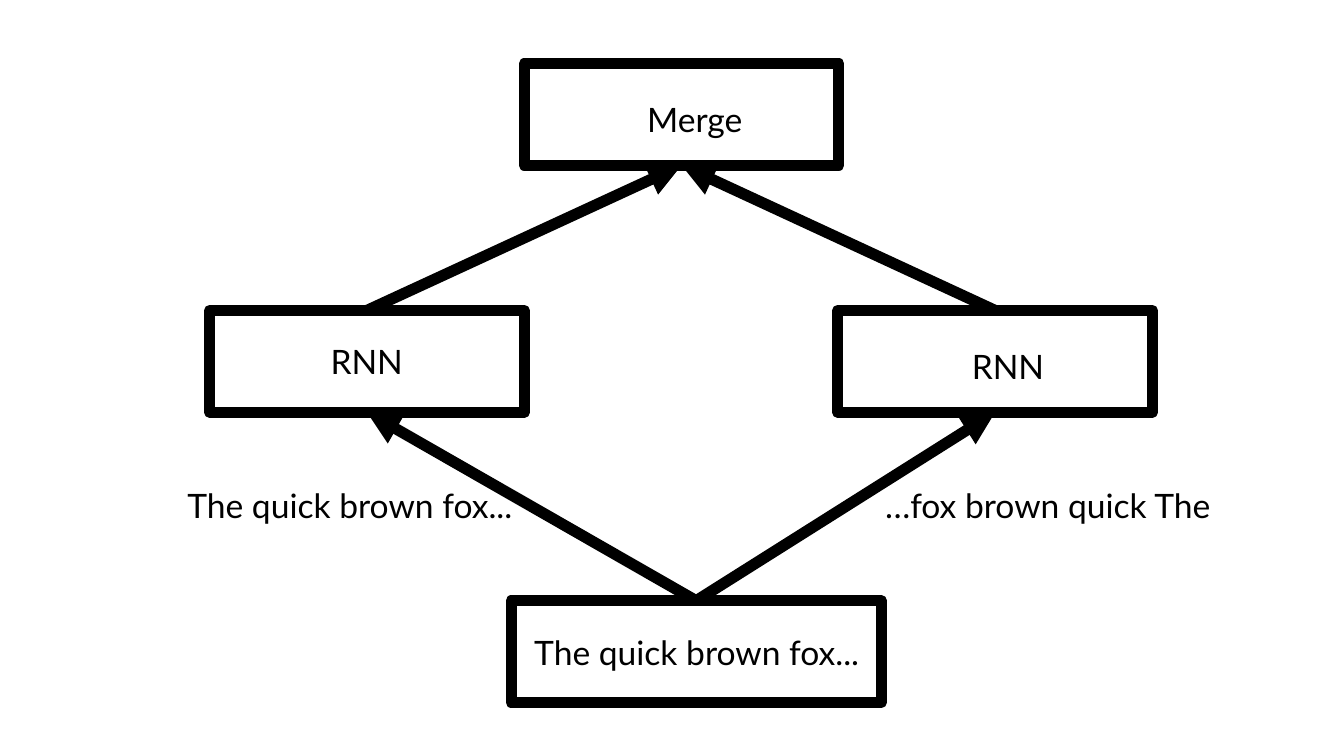
from lxml import etree
from pptx import Presentation
from pptx.dml.color import RGBColor
from pptx.enum.shapes import MSO_CONNECTOR, MSO_SHAPE
from pptx.enum.text import MSO_AUTO_SIZE
from pptx.oxml.ns import qn
from pptx.util import Inches, Pt

RECTANGLE = MSO_SHAPE.RECTANGLE
STRAIGHT = MSO_CONNECTOR.STRAIGHT
FIT_TEXT = MSO_AUTO_SIZE.SHAPE_TO_FIT_TEXT
TOP_SITE, BOTTOM_SITE = 0, 2
BLANK_LAYOUT = 6

COLORS = {"ink": "000000"}


class Diagram:
    """Style and drawing methods for one slide."""

    font_name = "Lato"
    font_size = Pt(24)
    line_width = Pt(8)
    box_height = 1.01
    label_height = 0.5

    def __init__(self, slide):
        self.slide = slide
        self.ink = RGBColor.from_string(COLORS["ink"])

    def style_line(self, line):
        line.color.rgb = self.ink
        line.width = self.line_width

    def box(self, left, top, width=3.12):
        shape = self.slide.shapes.add_shape(
            RECTANGLE, Inches(left), Inches(top), Inches(width), Inches(self.box_height))
        shape.shadow.inherit = False
        shape.fill.background()
        self.style_line(shape.line)
        return shape

    def label(self, text, left, top, width):
        shape = self.slide.shapes.add_textbox(
            Inches(left), Inches(top), Inches(width), Inches(self.label_height))
        frame = shape.text_frame
        frame.word_wrap = False
        frame.auto_size = FIT_TEXT
        paragraph = frame.paragraphs[0]
        paragraph.text = text
        paragraph.font.name = self.font_name
        paragraph.font.size = self.font_size
        paragraph.font.color.rgb = self.ink

    def arrow(self, source, target):
        """Arrow from the top of one box to the bottom of another."""
        connector = self.slide.shapes.add_connector(STRAIGHT, 0, 0, 0, 0)
        connector.begin_connect(source, TOP_SITE)
        connector.end_connect(target, BOTTOM_SITE)
        self.style_line(connector.line)
        line_xml = connector.line._get_or_add_ln()
        etree.SubElement(line_xml, qn("a:tailEnd"), type="triangle")
        etree.SubElement(connector._element.spPr, qn("a:effectLst"))


def main():
    presentation = Presentation()
    presentation.slide_width = Inches(13.33)
    presentation.slide_height = Inches(7.5)
    layout = presentation.slide_layouts[BLANK_LAYOUT]
    diagram = Diagram(presentation.slides.add_slide(layout))

    # Boxes
    sentence = diagram.box(5.07, 5.96, width=3.67)
    forward = diagram.box(2.08, 3.08)
    backward = diagram.box(8.31, 3.08)
    merge = diagram.box(5.2, 0.63)

    # Labels in the boxes and beside the arrows
    for text, left, top, width in [
        ("The quick brown fox...", 5.2, 6.22, 3.48),
        ("The quick brown fox...", 1.76, 4.76, 3.48),
        ("…fox brown quick The", 8.68, 4.76, 3.5),
        ("RNN", 3.18, 3.33, 0.93),
        ("RNN", 9.54, 3.38, 0.93),
        ("Merge", 6.32, 0.93, 1.17),
    ]:
        diagram.label(text, left, top, width)

    # Arrows from the sentence through both networks to the merge
    for network in (forward, backward):
        diagram.arrow(sentence, network)
        diagram.arrow(network, merge)

    presentation.save("out.pptx")


if __name__ == "__main__":
    main()
